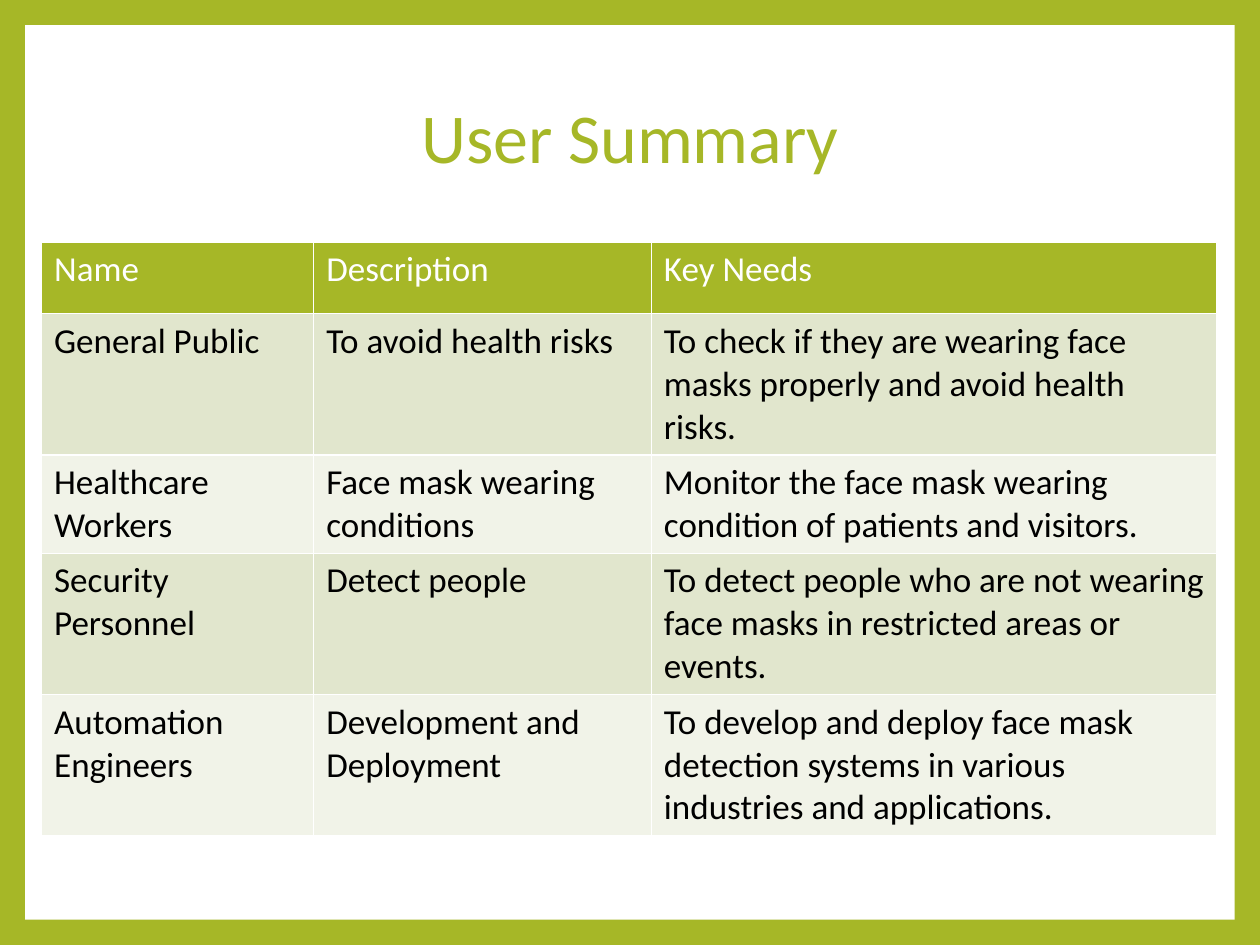
from dataclasses import dataclass

from pptx import Presentation
from pptx.dml.color import RGBColor
from pptx.enum.shapes import MSO_SHAPE
from pptx.enum.text import MSO_ANCHOR, PP_ALIGN
from pptx.util import Inches, Pt


@dataclass(frozen=True)
class Theme:
    font: str = "Calibri"
    accent: str = "A6B727"
    paper: str = "FFFFFF"
    ink: str = "000000"
    bands: tuple = ("E1E6CD", "F1F3E8")
    title_size: int = 40
    table_size: int = 20


class SlideBuilder:
    def __init__(self, prs, theme):
        self.theme = theme
        self.slide = prs.slides.add_slide(prs.slide_layouts[5])
        self.fill(self.slide.background, theme.accent)

    def fill(self, target, color):
        target.fill.solid()
        target.fill.fore_color.rgb = RGBColor.from_string(color)

    def add_text(self, tf, text, size, color):
        p = tf.paragraphs[0]
        r = p.add_run()
        r.text = text
        style = {"name": self.theme.font, "size": Pt(size), "bold": False}
        for name, value in style.items():
            setattr(r.font, name, value)
        r.font.color.rgb = RGBColor.from_string(color)
        return p

    def panel(self, left, top, width, height):
        sp = self.slide.shapes.add_shape(
            MSO_SHAPE.RECTANGLE, *map(Inches, (left, top, width, height)))
        sp.shadow.inherit = False
        self.fill(sp, self.theme.paper)
        sp.line.fill.background()
        self.slide.shapes.element.insert(2, sp.element)

    def title(self, text, left, top, width, height):
        sp = self.slide.shapes.title
        box = {"left": left, "top": top, "width": width, "height": height}
        for name, value in box.items():
            setattr(sp, name, Inches(value))
        tf = sp.text_frame
        tf.vertical_anchor = MSO_ANCHOR.MIDDLE
        p = self.add_text(tf, text, self.theme.title_size, self.theme.accent)
        for name, value in {"alignment": PP_ALIGN.CENTER, "line_spacing": 0.9}.items():
            setattr(p, name, value)

    def table(self, rows, left, top, col_widths, row_height):
        theme = self.theme
        table = self.slide.shapes.add_table(
            len(rows), len(col_widths), Inches(left), Inches(top),
            Inches(sum(col_widths)), Inches(row_height * len(rows))).table
        for column, width in zip(table.columns, col_widths):
            column.width = Inches(width)
        for i, row in enumerate(rows):
            table.rows[i].height = Inches(row_height)
            band = theme.bands[(i - 1) % 2] if i else theme.accent
            color = theme.ink if i else theme.paper
            for cell, text in zip(table.rows[i].cells, row):
                self.fill(cell, band)
                self.add_text(cell.text_frame, text, theme.table_size, color)


USERS = [
    ("Name", "Description", "Key Needs"),
    ("General Public", "To avoid health risks",
     "To check if they are wearing face masks properly and avoid health risks."),
    ("Healthcare Workers", "Face mask wearing conditions",
     "Monitor the face mask wearing condition of patients and visitors."),
    ("Security Personnel", "Detect people",
     "To detect people who are not wearing face masks in restricted areas or events."),
    ("Automation Engineers", "Development and Deployment",
     "To develop and deploy face mask detection systems in various industries "
     "and applications."),
]


def main():
    prs = Presentation()
    prs.slide_width, prs.slide_height = Inches(10), Inches(7.5)
    s = SlideBuilder(prs, Theme())
    s.panel(0.2, 0.2, 9.6, 7.1)
    s.title("User Summary", 0.95, 0.58, 8.1, 1.08)
    s.table(USERS, 0.33, 1.92, (2.16, 2.68, 4.49), 0.57)
    prs.save("out.pptx")


if __name__ == "__main__":
    main()
